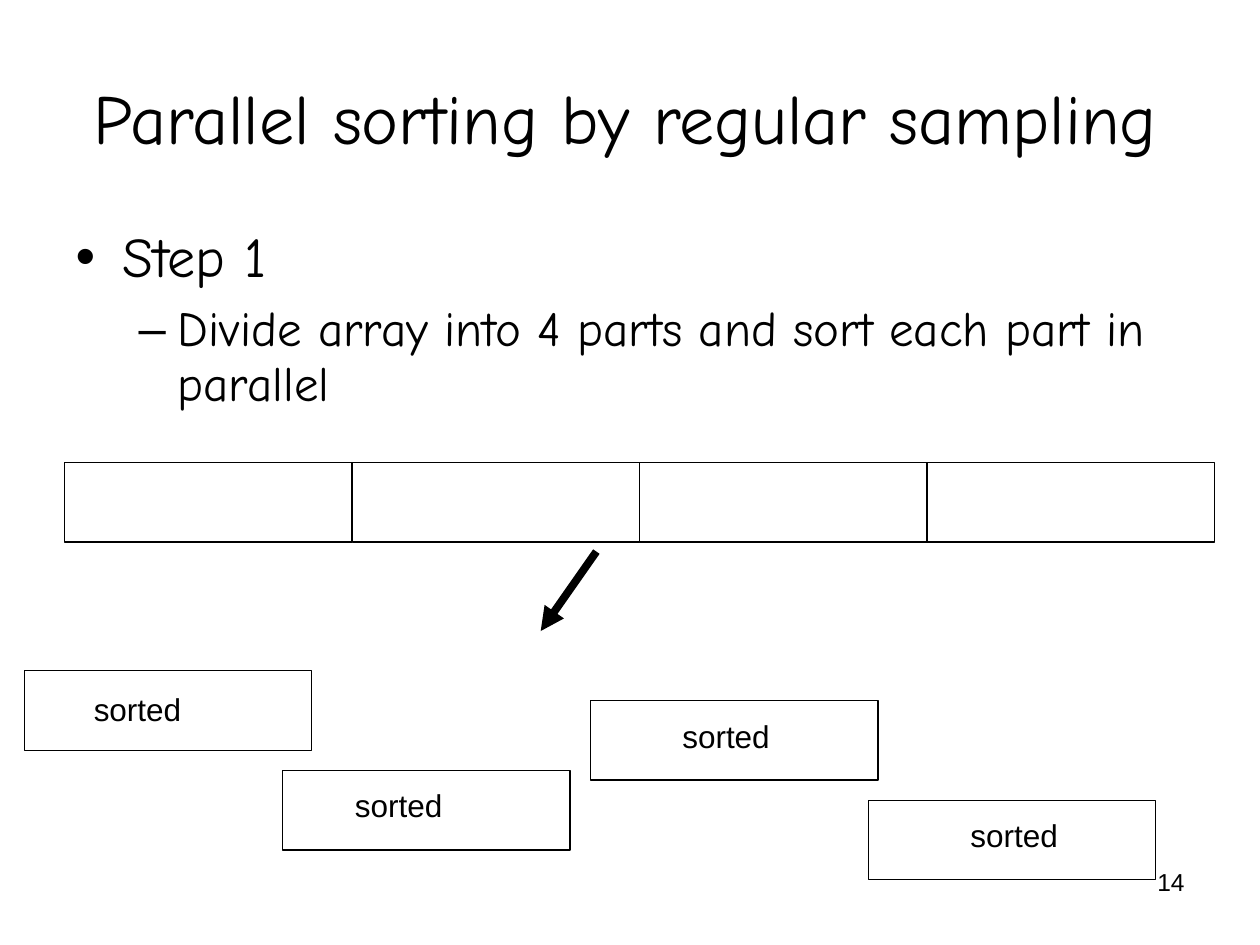
from lxml.etree import SubElement
from pptx import Presentation
from pptx.dml.color import RGBColor
from pptx.enum.shapes import MSO_CONNECTOR as CONNECTOR, MSO_SHAPE as SHAPE
from pptx.enum.text import MSO_ANCHOR as ANCHOR, MSO_AUTO_SIZE as AUTO_SIZE, PP_ALIGN as ALIGN
from pptx.oxml.ns import qn
from pptx.util import Pt

COLORS = {"ink": "000000"}
INK = RGBColor.from_string(COLORS["ink"])
PART_WIDTH, PART_HEIGHT = 164.25, 45.5


def add_run(paragraph, text, size, font_name):
    run = paragraph.add_run()
    run.text = text
    run.font.size = Pt(size)
    run.font.name = font_name
    run.font.color.rgb = INK


def add_part(left, top):
    part = slide.shapes.add_shape(
        SHAPE.RECTANGLE, Pt(left), Pt(top), Pt(PART_WIDTH), Pt(PART_HEIGHT))
    part.shadow.inherit = False
    part.fill.background()
    part.line.color.rgb = INK
    part.line.width = Pt(0.75)


presentation = Presentation()
presentation.slide_width, presentation.slide_height = Pt(720), Pt(540)
slide = presentation.slides.add_slide(presentation.slide_layouts[1])

title = slide.shapes.title
title.left, title.top, title.width, title.height = Pt(14.4), Pt(21.6), Pt(686), Pt(90)
title.text_frame.auto_size = AUTO_SIZE.NONE
title.text_frame.vertical_anchor = ANCHOR.MIDDLE
paragraph = title.text_frame.paragraphs[0]
paragraph.alignment = ALIGN.CENTER
add_run(paragraph, "Parallel sorting by regular sampling", 40, "Comic Neue")

body = slide.placeholders[1]
body.left, body.top, body.width, body.height = Pt(36), Pt(126), Pt(648), Pt(356.4)
body.text_frame.auto_size = AUTO_SIZE.NONE
steps = [
    ("Step 1", 32, 8, 26.8, -26.8, "•"),
    ("Divide array into 4 parts and sort each part in parallel", 28, 7, 58.4, -22.4, "–"),
]
for level, (text, size, space, margin, indent, bullet) in enumerate(steps):
    paragraph = body.text_frame.paragraphs[0] if level == 0 else body.text_frame.add_paragraph()
    paragraph.level = level
    paragraph.line_spacing = 0.94
    paragraph.space_before = Pt(space)
    add_run(paragraph, text, size, "Comic Neue")
    properties = paragraph._p.get_or_add_pPr()
    properties.set("marL", str(Pt(margin)))
    properties.set("indent", str(Pt(indent)))
    SubElement(properties, qn("a:buFont")).set("typeface", "Arial")
    SubElement(properties, qn("a:buChar")).set("char", bullet)

for column in range(4):
    add_part(37 + column * PART_WIDTH, 264.25)

arrow = slide.shapes.add_connector(
    CONNECTOR.STRAIGHT, Pt(340.8), Pt(315.2), Pt(309), Pt(360.6))
arrow.line.color.rgb = INK
arrow.line.width = Pt(4.5)
SubElement(arrow.line._get_or_add_ln(), qn("a:tailEnd")).set("type", "triangle")
SubElement(arrow._element.spPr, qn("a:effectLst"))

sorted_parts = [
    (14, 383.25, 46.5, 391),
    (161.5, 440.25, 195.7, 445.9),
    (337.5, 400.25, 382.8, 406.4),
    (496.25, 457.25, 547.4, 463),
]
for left, top, label_left, label_top in sorted_parts:
    add_part(left, top)
    label = slide.shapes.add_textbox(Pt(label_left), Pt(label_top), Pt(64.2), Pt(28.8))
    label.text_frame.word_wrap = False
    label.text_frame.auto_size = AUTO_SIZE.SHAPE_TO_FIT_TEXT
    add_run(label.text_frame.paragraphs[0], "sorted", 18, "Arial")

page_number = slide.shapes.add_textbox(Pt(516), Pt(492), Pt(168), Pt(37.5))
page_number.text_frame.word_wrap = True
paragraph = page_number.text_frame.paragraphs[0]
paragraph.alignment = ALIGN.RIGHT
add_run(paragraph, "14", 14, "Arial")

presentation.save("out.pptx")
